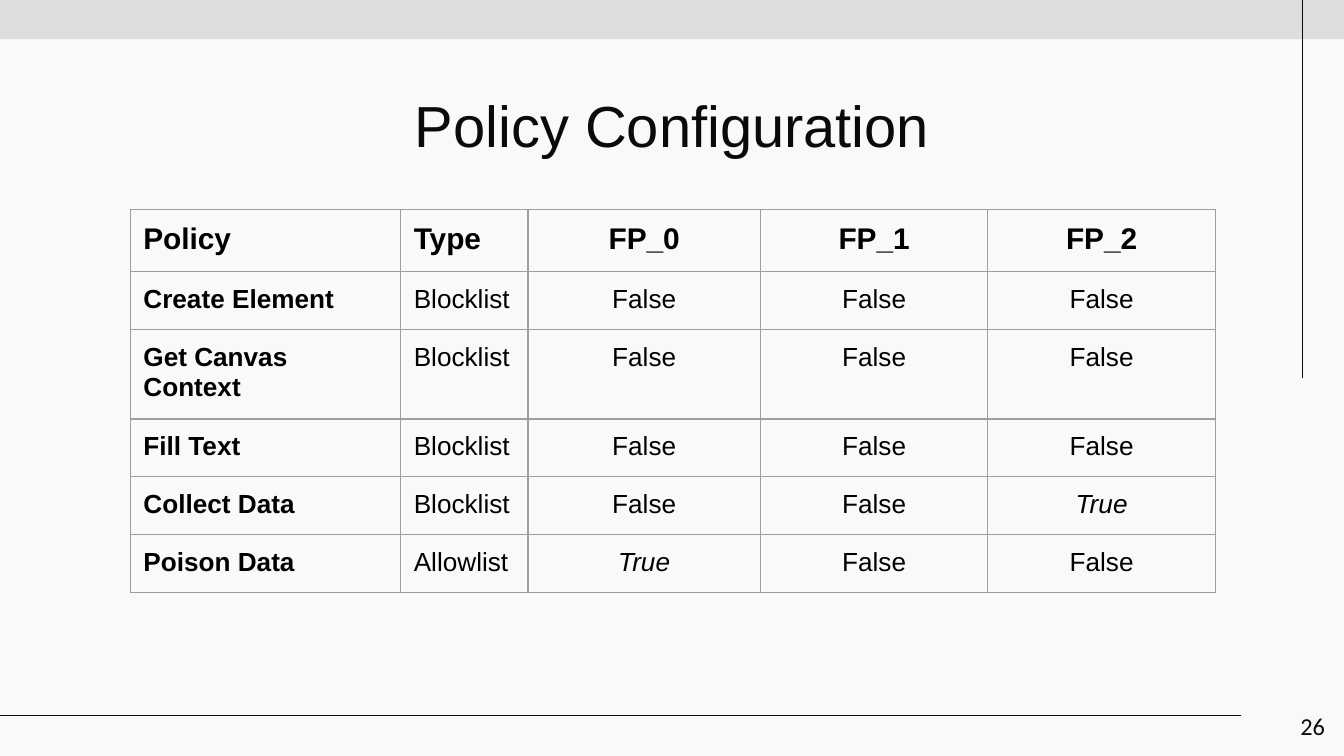
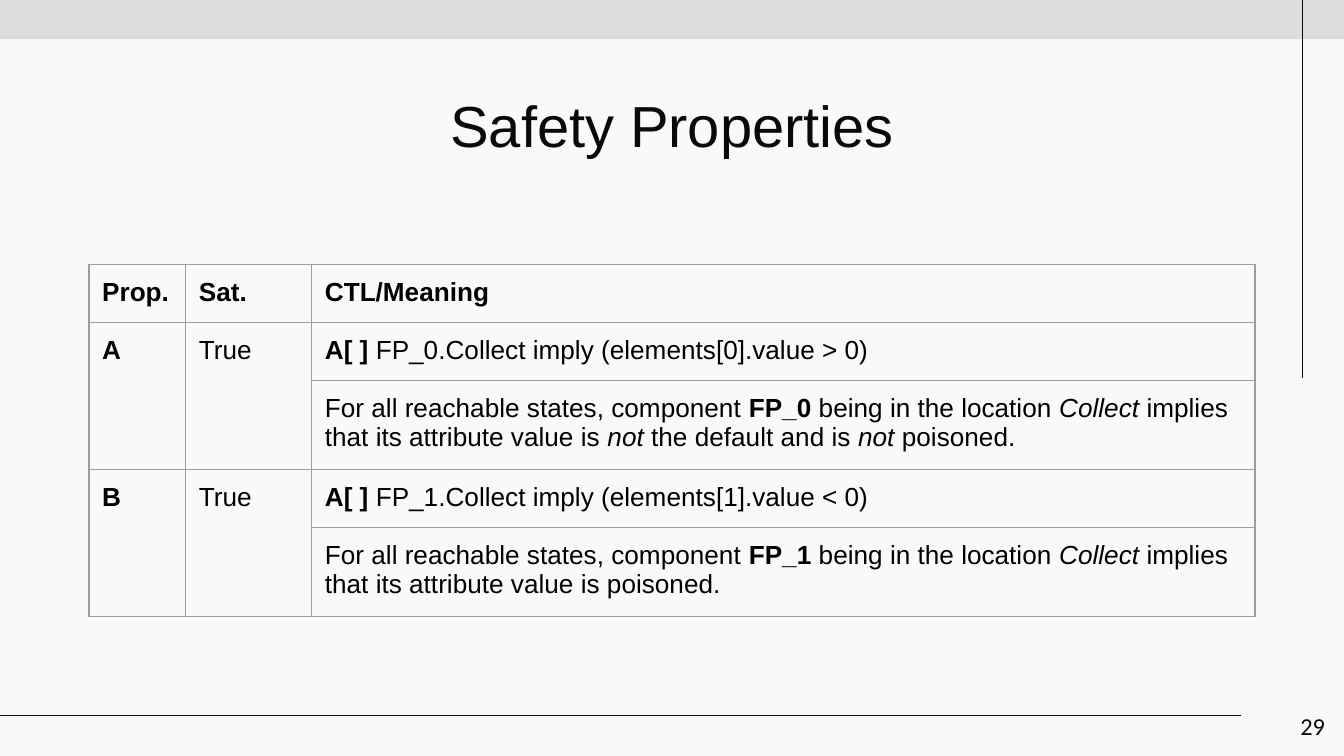
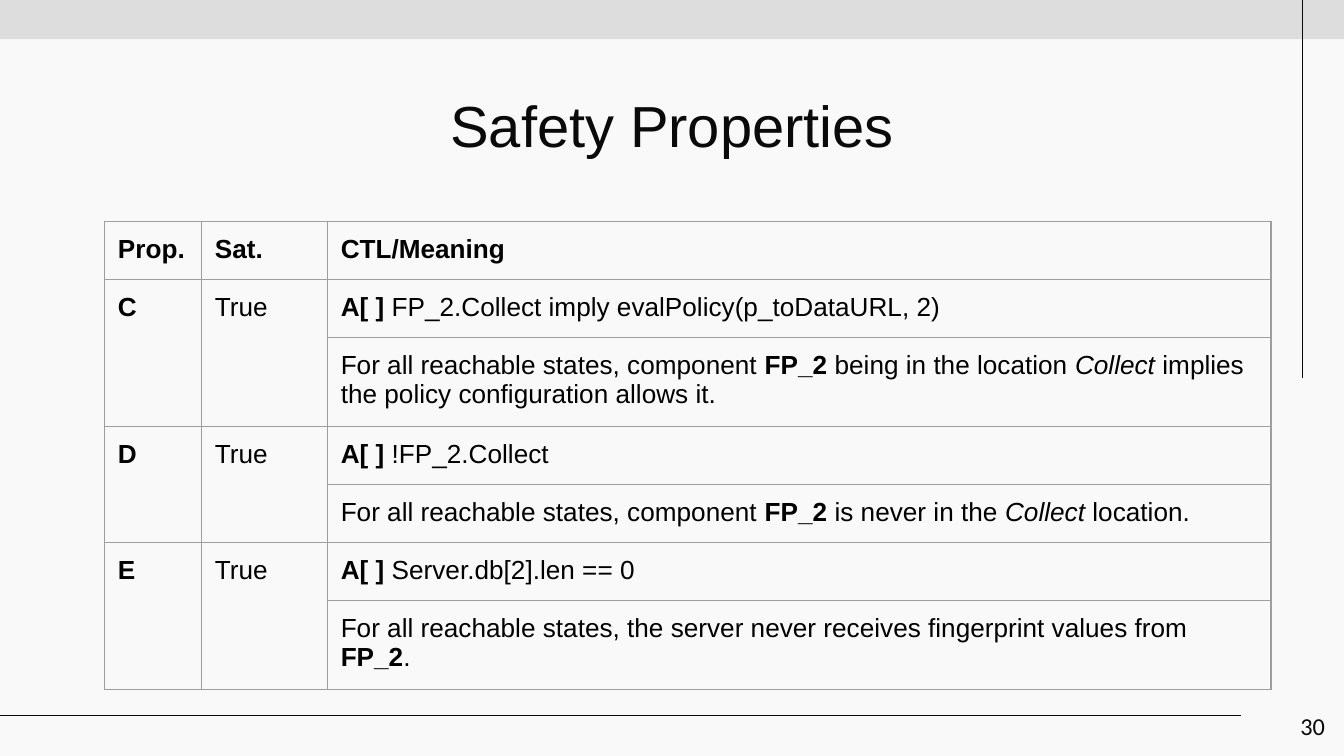
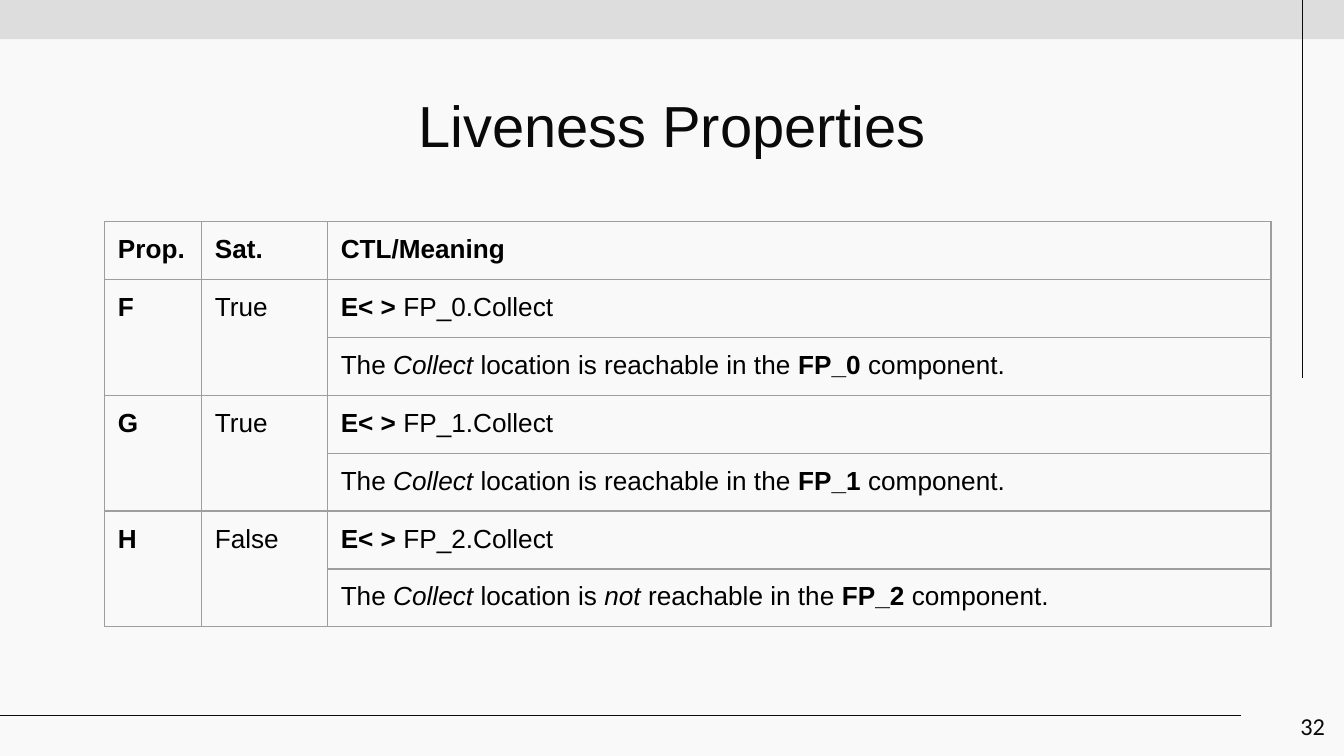
from lxml.etree import SubElement
from pptx import Presentation
from pptx.dml.color import RGBColor
from pptx.enum.shapes import MSO_CONNECTOR, MSO_SHAPE
from pptx.enum.text import MSO_ANCHOR, MSO_AUTO_SIZE, PP_ALIGN
from pptx.oxml.ns import qn
from pptx.util import Cm, Pt

PAPER, BAND, INK, BLACK, GRID = "F9F9F9", "DDDDDD", "0A0A0A", "000000", "9E9E9E"
INSET = Cm(0.25)
ROW_HEIGHT = 1.07


def rgb(value):
    return RGBColor.from_string(value)


def write(frame, marked, size, color=BLACK, font="Arial", align=PP_ALIGN.LEFT):
    """Add runs to a text frame: *bold*, ~italic~."""
    frame.margin_left = frame.margin_right = INSET
    frame.margin_top = frame.margin_bottom = INSET
    paragraph = frame.paragraphs[0]
    paragraph.alignment = align
    for b, stretch in enumerate(marked.split("*")):
        for i, words in enumerate(stretch.split("~")):
            if words:
                run = paragraph.add_run()
                run.text = words
                run.font.name = font
                run.font.size = Pt(size)
                run.font.bold = b % 2 == 1
                run.font.italic = i % 2 == 1
                run.font.color.rgb = rgb(color)


# Policy table
policy_rows = [
    ["*Policy*", "*Type*", "*FP_0*", "*FP_1*", "*FP_2*"],
    ["*Create Element*", "Blocklist", "False", "False", "False"],
    ["*Get Canvas Context*", "Blocklist", "False", "False", "False"],
    ["*Fill Text*", "Blocklist", "False", "False", "False"],
    ["*Collect Data*", "Blocklist", "False", "False", "~True~"],
    ["*Poison Data*", "Allowlist", "~True~", "False", "False"],
]
policy_widths = [5.11, 2.41, 4.39, 4.3, 4.3]

# Property tables: name, satisfied, formula, meaning
safety_ab = [
    ("A", "True", "*A[ ]* FP_0.Collect imply (elements[0].value > 0)",
     "For all reachable states, component *FP_0* being in the location ~Collect~ implies "
     "that its attribute value is ~not~ the default and is ~not~ poisoned."),
    ("B", "True", "*A[ ]* FP_1.Collect imply (elements[1].value < 0)",
     "For all reachable states, component *FP_1* being in the location ~Collect~ implies "
     "that its attribute value is poisoned."),
]
safety_cde = [
    ("C", "True", "*A[ ]* FP_2.Collect imply evalPolicy(p_toDataURL, 2)",
     "For all reachable states, component *FP_2* being in the location ~Collect~ implies "
     "the policy configuration allows it."),
    ("D", "True", "*A[ ]* !FP_2.Collect",
     "For all reachable states, component *FP_2* is never in the ~Collect~ location."),
    ("E", "True", "*A[ ] *Server.db[2].len == 0",
     "For all reachable states, the server never receives fingerprint values from *FP_2*."),
]
liveness = [
    ("F", "True", "*E< > *FP_0.Collect",
     "The ~Collect~ location is reachable in the *FP_0 *component."),
    ("G", "True", "*E< > *FP_1.Collect",
     "The ~Collect~ location is reachable in the *FP_1* component."),
    ("H", "False", "*E< > *FP_2.Collect",
     "The ~Collect~ location is ~not~ reachable in the *FP_2* component."),
]
property_widths = [1.83, 2.38, 17.83]

# None continues the cell above
property_tables = []
for properties in (safety_ab, safety_cde, liveness):
    rows = [["*Prop.*", "*Sat.*", "*CTL/Meaning*"]]
    for name, satisfied, formula, meaning in properties:
        rows += [[f"*{name}*", satisfied, formula], [None, None, meaning]]
    property_tables.append(rows)

# Title, page, table left and top, widths, rows, header size, first centred column
pages = [
    ("Policy Configuration", 26, 2.46, 3.96, policy_widths, policy_rows, 16, 2),
    ("Safety Properties", 29, 1.68, 5, property_widths, property_tables[0], 14, 3),
    ("Safety Properties", 30, 1.98, 4.19, property_widths, property_tables[1], 14, 3),
    ("Liveness Properties", 32, 1.98, 4.19, property_widths, property_tables[2], 14, 3),
]

deck = Presentation()
deck.slide_width, deck.slide_height = Cm(25.4), Cm(14.29)
backdrop = deck.slide_master.background.fill
backdrop.solid()
backdrop.fore_color.rgb = rgb(PAPER)

for heading, page, left, top, widths, rows, header_size, first_centred in pages:
    slide = deck.slides.add_slide(deck.slide_layouts[5])

    # Top band and rules
    band = slide.shapes.add_shape(MSO_SHAPE.RECTANGLE, 0, 0, deck.slide_width, Cm(0.74))
    band.shadow.inherit = False
    band.fill.solid()
    band.fill.fore_color.rgb = rgb(BAND)
    band.line.fill.background()
    for x1, y1, x2, y2 in [(24.61, 0, 24.61, 7.14), (23.46, 13.53, 0, 13.53)]:
        rule = slide.shapes.add_connector(
            MSO_CONNECTOR.STRAIGHT, Cm(x1), Cm(y1), Cm(x2), Cm(y2))
        rule.line.color.rgb = rgb(INK)
        rule.line.width = Pt(0.75)
        SubElement(rule.element.spPr, qn("a:effectLst"))

    # Title
    title = slide.shapes.title
    title.left, title.top, title.width, title.height = Cm(1.98), Cm(1.3), Cm(21.44), Cm(1.52)
    title.text_frame.auto_size = MSO_AUTO_SIZE.NONE
    title.text_frame.vertical_anchor = MSO_ANCHOR.TOP
    write(title.text_frame, heading, 31, INK, align=PP_ALIGN.CENTER)
    title.text_frame.margin_top = Cm(0.4)

    # Page number
    number = slide.shapes.add_textbox(Cm(23.77), Cm(13.18), Cm(1.52), Cm(1.09))
    number.text_frame.word_wrap = True
    number.text_frame.vertical_anchor = MSO_ANCHOR.MIDDLE
    write(number.text_frame, str(page), 13, INK, "Calibri", PP_ALIGN.RIGHT)

    # Table
    table = slide.shapes.add_table(
        len(rows), len(widths), Cm(left), Cm(top),
        Cm(sum(widths)), Cm(ROW_HEIGHT * len(rows))).table
    table.first_row = table.horz_banding = False
    for column, width in zip(table.columns, widths):
        column.width = Cm(width)
    for r, row in enumerate(rows):
        table.rows[r].height = Cm(ROW_HEIGHT)
        for c, words in enumerate(row):
            cell = table.cell(r, c)
            if words is None:
                table.cell(r - 1, c).merge(cell)
            else:
                write(cell.text_frame, words, 14 if r else header_size,
                      align=PP_ALIGN.CENTER if c >= first_centred else PP_ALIGN.LEFT)
            cell.margin_left = cell.margin_right = INSET
            cell.margin_top = cell.margin_bottom = INSET
            cell_format = cell._tc.get_or_add_tcPr()
            for side in ("a:lnL", "a:lnR", "a:lnT", "a:lnB"):
                border = SubElement(cell_format, qn(side), w=str(Pt(0.75)))
                SubElement(SubElement(border, qn("a:solidFill")), qn("a:srgbClr"), val=GRID)
            cell.fill.background()

deck.save("out.pptx")
